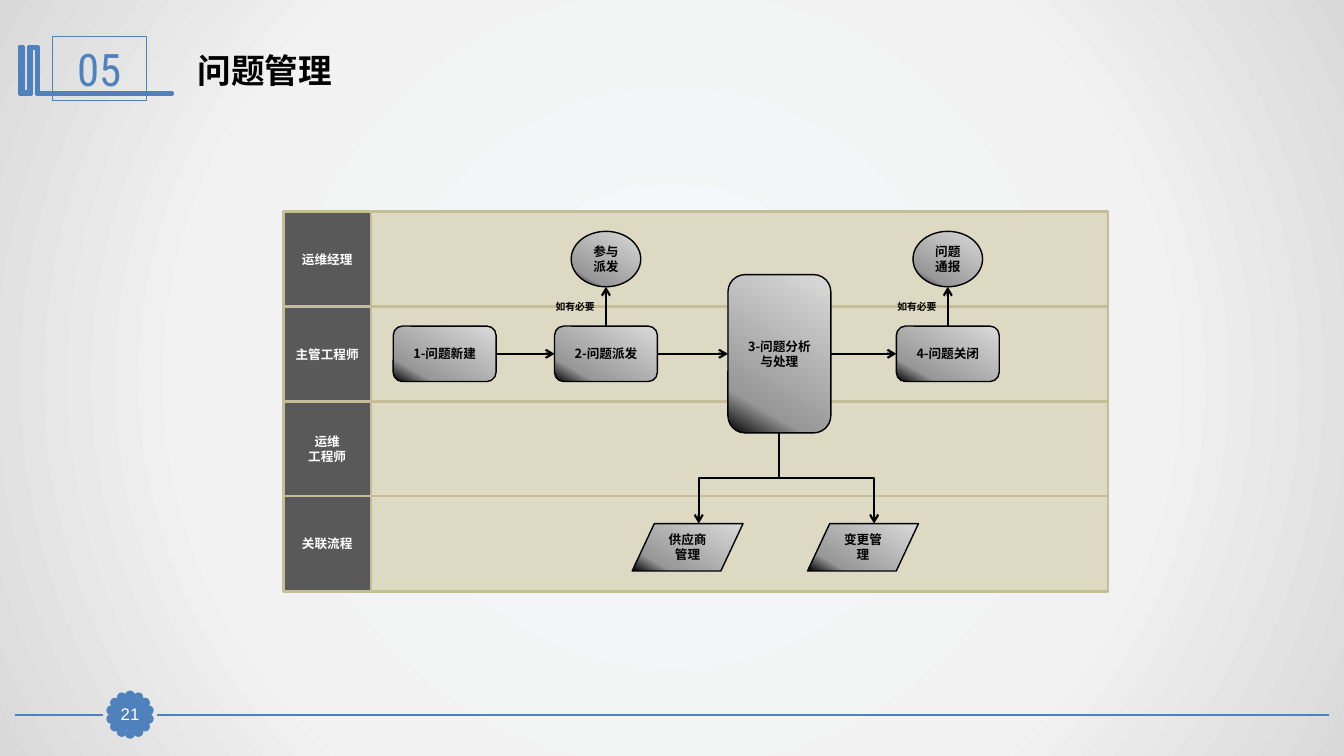
"""Build the problem management swimlane slide."""
from dataclasses import dataclass
from math import cos, pi, sin

from lxml import etree
from pptx import Presentation
from pptx import util as u
from pptx.dml.color import RGBColor
from pptx.enum import shapes, text
from pptx.oxml import ns, parse_xml

TITLE = "问题管理"
SECTION = "05"
PAGE = "21"
NOTE = "如有必要"
LANES = ["运维经理", "主管工程师", "运维\n工程师", "关联流程"]
STEPS = [
    ("1-问题新建", 4.41, 0.55, None),
    ("2-问题派发", 6.01, 0.55, "参与派发"),
    ("3-问题分析与处理", 7.73, 1.57, None),
    ("4-问题关闭", 9.4, 0.55, "问题通报"),
]
BRANCHES = [("供应商管理", 6.82), ("变更管理", 8.56)]
EMBLEM = [
    (0.37, 0.46), (0.38, 0.46), (0.38, 0.92), (1.71, 0.92), (1.71, 0.94), (0.36, 0.94),
    (0.36, 0.48), (0.31, 0.48), (0.31, 0.94), (0.19, 0.94), (0.19, 0.46), (0.23, 0.46),
    (0.23, 0.91), (0.28, 0.91), (0.28, 0.46),
]

WIDTH, HEIGHT = 13.33, 7.5
LANE_LEFT, LANE_TOP, LANE_PITCH, LANE_HEIGHT = 2.81, 2.1, 0.94, 0.95
HEAD_WIDTH, BODY_LEFT, BODY_WIDTH = 0.87, 2.85, 8.14
STEP_WIDTH, STEP_Y, SIDE_Y, BRANCH_Y = 1.02, 3.51, 2.57, 5.43
SIDE_SIZE, BRANCH_SIZE = (0.69, 0.55), (1.1, 0.47)
SEAL_X, SEAL_Y, SEAL_RADIUS, PETALS, PETAL_SIZE = 1.29, 7.09, 0.19, 14, 0.07


@dataclass(frozen=True)
class Theme:
    accent: str = "4F81BD"
    black: str = "000000"
    white: str = "FFFFFF"
    lane: str = "DDD9C3"
    lane_line: str = "C4BD97"
    head: str = "595959"
    backdrop: tuple = ((0, "F6F9FC"), (63, "F2F2F2"), (100, "D9D9D9"))
    metal: tuple = ((0, "DADADA"), (80, "979797"), (100, "000000"))
    latin: str = "Arial"
    chinese: str = "Noto Sans CJK SC"
    number: str = "Roboto Condensed"
    title_size: int = 24
    section_size: int = 32
    page_size: int = 12
    body_size: int = 9
    note_size: int = 7


THEME = Theme()
CIRCLE = ('<a:path path="circle"><a:fillToRect l="50000" t="50000" r="50000" b="50000"/>'
          '</a:path>')
DIAGONAL = f'<a:lin ang="{120 * 60000}" scaled="0"/>'


def inches(*lengths):
    return [u.Inches(length) for length in lengths]


def set_gradient(fill, owner, stops, direction):
    fill.gradient()
    old = next(owner.iter(ns.qn("a:gradFill")))
    marks = "".join(f'<a:gs pos="{share * 1000}"><a:srgbClr val="{color}"/></a:gs>'
                    for share, color in stops)
    new = parse_xml(f'<a:gradFill {ns.nsdecls("a")} rotWithShape="1">'
                    f'<a:gsLst>{marks}</a:gsLst>{direction}</a:gradFill>')
    old.getparent().replace(old, new)


def style(shape, fill, line, width):
    shape.shadow.inherit = False
    if fill is None:
        shape.fill.background()
    elif isinstance(fill, tuple):
        set_gradient(shape.fill, shape._element.spPr, fill, DIAGONAL)
    else:
        shape.fill.solid()
        shape.fill.fore_color.rgb = RGBColor.from_string(fill)
    shape.line.color.rgb = RGBColor.from_string(line)
    shape.line.width = u.Pt(width)


def write(shape, words, size, color, name=THEME.chinese, bold=True,
          align=text.PP_ALIGN.CENTER, anchor=text.MSO_ANCHOR.MIDDLE):
    frame = shape.text_frame
    frame.text = words
    frame.word_wrap = True
    frame.vertical_anchor = anchor
    for paragraph in frame.paragraphs:
        paragraph.alignment = align
        font = paragraph.font
        font.name, font.size, font.bold = name, u.Pt(size), bold
        font.color.rgb = RGBColor.from_string(color)
        east_asian = etree.SubElement(font._element, ns.qn("a:ea"))
        east_asian.set("typeface", THEME.chinese)


def add_box(container, kind, left, top, width, height, fill, line, line_width):
    shape = container.add_shape(kind, *inches(left, top, width, height))
    style(shape, fill, line, line_width)
    return shape


def add_node(container, kind, center_x, center_y, width, height, words):
    node = add_box(container, kind, center_x - width / 2, center_y - height / 2,
                   width, height, THEME.metal, THEME.black, 1)
    write(node, words, THEME.body_size, THEME.black)
    return node


def add_line(container, kind, begin, end, color, width, arrow=False):
    line = container.add_connector(kind, *inches(*begin, *end))
    line.line.color.rgb = RGBColor.from_string(color)
    line.line.width = u.Pt(width)
    if arrow:
        tail = etree.SubElement(line.line._get_or_add_ln(), ns.qn("a:tailEnd"))
        tail.set("type", "arrow")
    etree.SubElement(line._element.spPr, ns.qn("a:effectLst"))
    return line


def add_arrow(container, begin, end):
    return add_line(container, shapes.MSO_CONNECTOR.STRAIGHT, begin, end,
                    THEME.black, 1.5, True)


def add_branch_arrow(container, begin, end):
    (x1, y1), (x2, y2) = begin, end
    middle_x, middle_y = (x1 + x2) / 2, (y1 + y2) / 2
    across, down = (x2 - x1) / 2, (y2 - y1) / 2
    arrow = add_line(container, shapes.MSO_CONNECTOR.ELBOW,
                     (middle_x - down, middle_y + across),
                     (middle_x + down, middle_y - across), THEME.black, 1.5, True)
    arrow._element.spPr.find(ns.qn("a:xfrm")).set("rot", str(90 * 60000))


def add_frame(slide):
    items = slide.shapes
    title = items.title
    title.left, title.top, title.width, title.height = inches(1.86, 0.44, 9.69, 0.5)
    write(title, TITLE, THEME.title_size, THEME.black, THEME.latin,
          align=text.PP_ALIGN.LEFT)
    for begin_x, end_x in ((0.15, 1.02), (1.56, WIDTH - 0.15)):
        add_line(items, shapes.MSO_CONNECTOR.STRAIGHT, (begin_x, SEAL_Y), (end_x, SEAL_Y),
                 THEME.accent, 1.25)
    builder = items.build_freeform(*inches(*EMBLEM[0]))
    builder.add_line_segments([inches(*point) for point in EMBLEM[1:]], close=True)
    style(builder.convert_to_shape(), THEME.accent, THEME.accent, 2)
    section = add_box(items, shapes.MSO_SHAPE.RECTANGLE, 0.52, 0.36, 0.93, 0.64,
                      None, THEME.accent, 0.75)
    write(section, SECTION, THEME.section_size, THEME.accent, THEME.number, False)

    seal = items.add_group_shape().shapes
    for petal in range(PETALS):
        angle = 2 * pi * petal / PETALS
        add_box(seal, shapes.MSO_SHAPE.OVAL,
                SEAL_X + SEAL_RADIUS * sin(angle) - PETAL_SIZE / 2,
                SEAL_Y - SEAL_RADIUS * cos(angle) - PETAL_SIZE / 2,
                PETAL_SIZE, PETAL_SIZE, THEME.accent, THEME.accent, 2)
    page = add_box(items, shapes.MSO_SHAPE.RECTANGLE, 1.13, 6.93, 0.32, 0.31,
                   THEME.accent, THEME.accent, 0.75)
    frame = page.text_frame
    frame.margin_left = frame.margin_right = frame.margin_top = frame.margin_bottom = 0
    write(page, PAGE, THEME.page_size, THEME.white, THEME.latin, False)


def add_lanes(slide):
    lanes = slide.shapes.add_group_shape().shapes
    for row, words in enumerate(LANES):
        top = LANE_TOP + row * LANE_PITCH
        add_box(lanes, shapes.MSO_SHAPE.RECTANGLE, BODY_LEFT, top, BODY_WIDTH,
                LANE_HEIGHT, THEME.lane, THEME.lane_line, 2)
        head = add_box(lanes, shapes.MSO_SHAPE.RECTANGLE, LANE_LEFT, top, HEAD_WIDTH,
                       LANE_HEIGHT, THEME.head, THEME.lane_line, 2)
        write(head, words, THEME.body_size, THEME.white)


def add_flow(slide):
    items = slide.shapes
    steps = []
    for words, x, height, side in STEPS:
        step = add_node(items, shapes.MSO_SHAPE.FLOWCHART_ALTERNATE_PROCESS, x, STEP_Y,
                        STEP_WIDTH, height, words)
        steps.append(step)
        if side:
            add_node(items, shapes.MSO_SHAPE.OVAL, x, SIDE_Y, *SIDE_SIZE, side)
            add_arrow(items, (x, STEP_Y - height / 2), (x, SIDE_Y + SIDE_SIZE[1] / 2))
            note = items.add_textbox(*inches(x - 0.62, 2.93, 0.63, 0.22))
            write(note, NOTE, THEME.note_size, THEME.black, anchor=text.MSO_ANCHOR.TOP)
    for source, target in zip(steps, steps[1:]):
        arrow = add_arrow(items, (0, 0), (1, 1))
        arrow.begin_connect(source, 3)
        arrow.end_connect(target, 1)
    _, fork_x, fork_height, _ = STEPS[2]
    for words, x in BRANCHES:
        width, height = BRANCH_SIZE
        add_node(items, shapes.MSO_SHAPE.FLOWCHART_DATA, x, BRANCH_Y, width, height, words)
        add_branch_arrow(items, (fork_x, STEP_Y + fork_height / 2),
                         (x + width / 10, BRANCH_Y - height / 2))


def main():
    presentation = Presentation()
    presentation.slide_width, presentation.slide_height = inches(WIDTH, HEIGHT)
    slide = presentation.slides.add_slide(presentation.slide_layouts[5])
    set_gradient(slide.background.fill, slide._element, THEME.backdrop, CIRCLE)
    add_frame(slide)
    add_lanes(slide)
    add_flow(slide)
    presentation.save("out.pptx")


if __name__ == "__main__":
    main()
